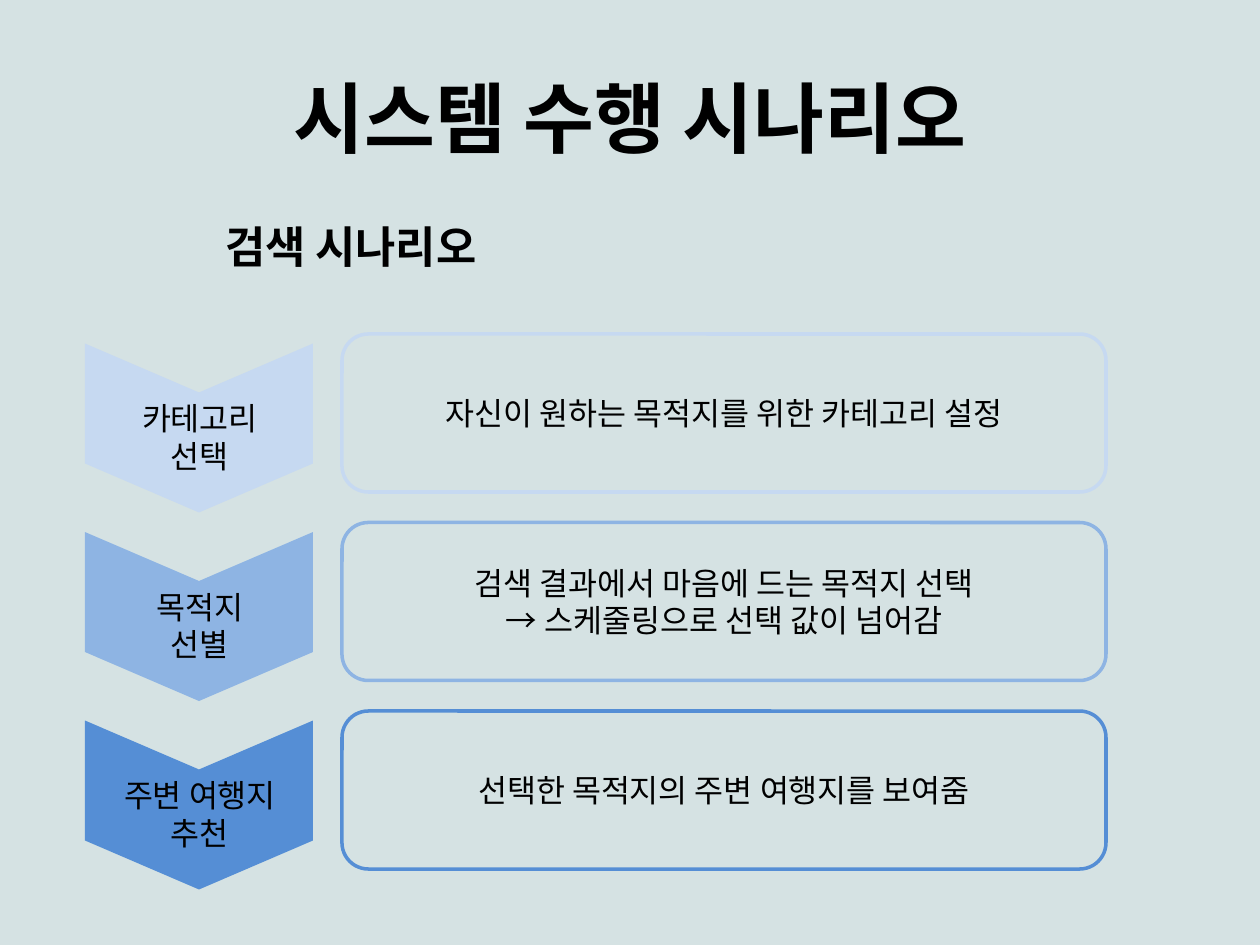
from pptx import Presentation
from pptx.dml.color import RGBColor
from pptx.enum.shapes import MSO_SHAPE
from pptx.enum.text import MSO_ANCHOR, PP_ALIGN
from pptx.oxml.ns import qn
from pptx.util import Emu, Pt
from lxml import etree

CHEVRON, ROUNDED = MSO_SHAPE.CHEVRON, MSO_SHAPE.ROUNDED_RECTANGLE
LEFT, CENTER = PP_ALIGN.LEFT, PP_ALIGN.CENTER
TOP, MIDDLE = MSO_ANCHOR.TOP, MSO_ANCHOR.MIDDLE

# Content
TITLE = "시스템 수행 시나리오"
SUBTITLE = "검색 시나리오"
STEPS = [
    (["카테고리", "선택"], ["자신이 원하는 목적지를 위한 카테고리 설정"], "C6D9F1"),
    (["목적지", "선별"],
     ["검색 결과에서 마음에 드는 목적지 선택", "→ 스케줄링으로 선택 값이 넘어감"], "8EB4E3"),
    (["주변 여행지", "추천"], ["선택한 목적지의 주변 여행지를 보여줌"], "558ED5"),
]

THEME = {
    "font": "Noto Sans CJK KR", "background": "D5E2E3", "text": "000000",
    "title": 44, "subtitle": 25, "body": 18, "outline": 2,
}

# Layout in px
PX = 7258  # EMU per px, 126 px to the inch
SLIDE_W, SLIDE_H = 1260, 945
FIRST_ROW, ROW_PITCH = 334, 188.5
CARD_X, CARD_W, CARD_H = 342, 764, 158
CHEVRON_CENTER, CHEVRON_W, CHEVRON_H, CHEVRON_DROP = 199, 169, 228, 94
LABEL_W, LABEL_H, LABEL_DROP = 196, 89, 59


def px(*lengths):
    return [Emu(round(length * PX)) for length in lengths]


def color(name):
    return RGBColor.from_string(name)


def write(shape, lines, size, bold=False, align=CENTER, anchor=MIDDLE, wrap=True):
    frame = shape.text_frame
    frame.word_wrap = wrap
    frame.vertical_anchor = anchor
    for index, line in enumerate(lines):
        paragraph = frame.paragraphs[0] if index == 0 else frame.add_paragraph()
        paragraph.alignment = align
        run = paragraph.add_run()
        run.text = line
        run.font.name = THEME["font"]
        run.font.size = Pt(size)
        run.font.bold = bold
        run.font.color.rgb = color(THEME["text"])
        east_asian = etree.SubElement(run.font._element, qn("a:ea"))
        east_asian.set("typeface", THEME["font"])


def add_shape(slide, kind, box, fill=None, line=None):
    shape = slide.shapes.add_shape(kind, *px(*box))
    shape.shadow.inherit = False
    if fill:
        shape.fill.solid()
        shape.fill.fore_color.rgb = color(fill)
    else:
        shape.fill.background()
    if line:
        shape.line.color.rgb = color(line)
        shape.line.width = Pt(THEME["outline"])
    else:
        shape.line.fill.background()
    return shape


def add_step(slide, top, label, description, tint):
    # Chevron turned to point down
    arrow = add_shape(slide, CHEVRON, (CHEVRON_CENTER - CHEVRON_W / 2,
                      top + CHEVRON_DROP - CHEVRON_H / 2, CHEVRON_W, CHEVRON_H), fill=tint)
    arrow.rotation = 90
    arrow.adjustments[0] = 0.29

    # Step name over the chevron
    name = slide.shapes.add_textbox(
        *px(CHEVRON_CENTER + 1 - LABEL_W / 2, top + LABEL_DROP, LABEL_W, LABEL_H))
    write(name, label, THEME["body"], anchor=TOP, wrap=False)

    # Description card
    card = add_shape(slide, ROUNDED, (CARD_X, top, CARD_W, CARD_H), line=tint)
    write(card, description, THEME["body"])


def main():
    deck = Presentation()
    deck.slide_width, deck.slide_height = px(SLIDE_W, SLIDE_H)
    slide = deck.slides.add_slide(deck.slide_layouts[6])
    slide.background.fill.solid()
    slide.background.fill.fore_color.rgb = color(THEME["background"])

    # Headings
    title = slide.shapes.add_textbox(*px(63, 38, 1134, 157))
    write(title, [TITLE], THEME["title"], bold=True)
    subtitle = slide.shapes.add_textbox(*px(213, 214, 328, 66))
    write(subtitle, [SUBTITLE], THEME["subtitle"], bold=True, align=LEFT, anchor=TOP)

    # Steps
    for row, step in enumerate(STEPS):
        add_step(slide, FIRST_ROW + row * ROW_PITCH, *step)

    deck.save("out.pptx")


if __name__ == "__main__":
    main()
